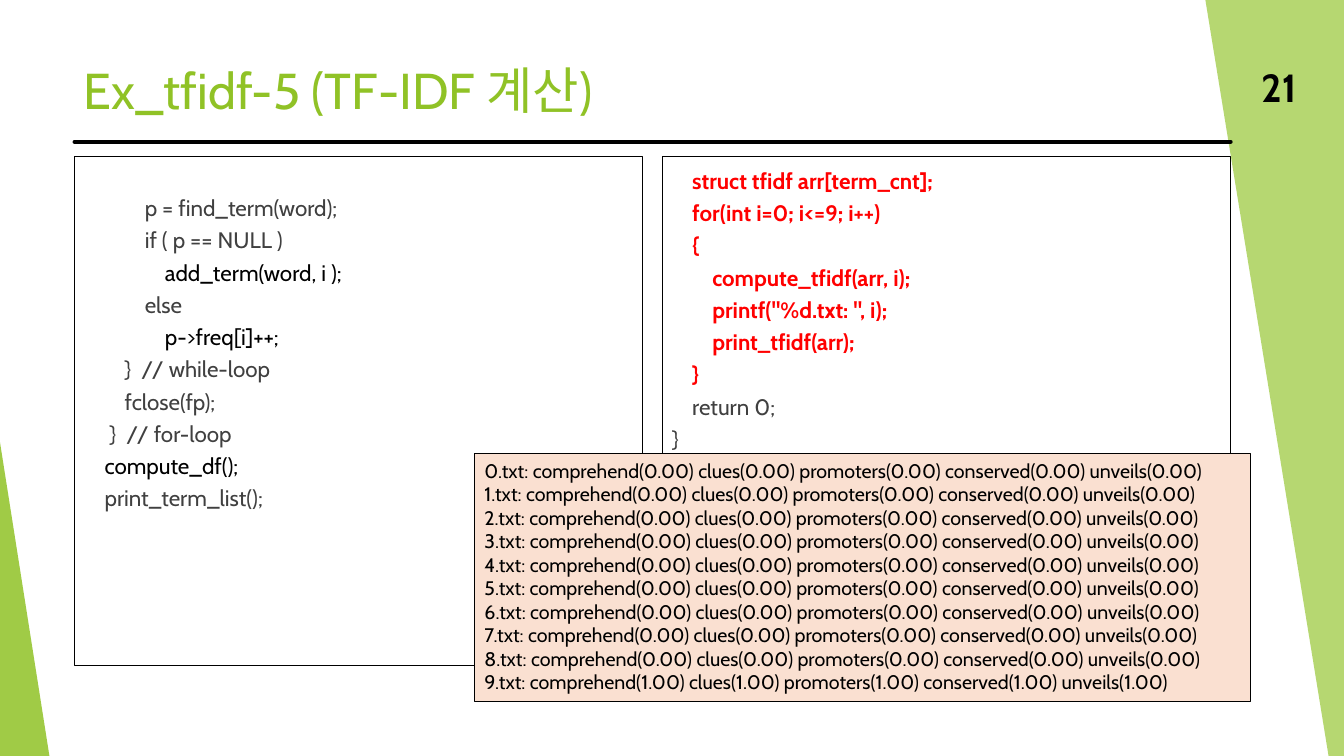
import dataclasses

import pptx
import pptx.dml.color
import pptx.enum.shapes
import pptx.enum.text
import pptx.oxml.ns
import pptx.util

Pt = pptx.util.Pt
Shapes = pptx.enum.shapes.MSO_SHAPE
Anchor = pptx.enum.text.MSO_ANCHOR
Align = pptx.enum.text.PP_ALIGN


@dataclasses.dataclass(frozen=True)
class Theme:
    font: str = "Cabin"
    green: str = "90C226"
    ink: str = "000000"
    muted: str = "404040"
    accent: str = "FF0000"
    peach: str = "FAE0D1"
    title_size: int = 36
    number_size: int = 28
    code_size: int = 16
    output_size: int = 14
    hairline: float = 0.75
    rule: float = 3


class SlideBuilder:
    def __init__(self, slide, theme):
        self.slide = slide
        self.theme = theme

    def rgb(self, value):
        return pptx.dml.color.RGBColor.from_string(value)

    def paint(self, shape, fill=None, outline=None, opacity=None):
        shape.shadow.inherit = False
        if fill:
            shape.fill.solid()
            shape.fill.fore_color.rgb = self.rgb(fill)
        else:
            shape.fill.background()
        if opacity:
            color = shape._element.spPr.find(".//" + pptx.oxml.ns.qn("a:srgbClr"))
            alpha = color.makeelement(pptx.oxml.ns.qn("a:alpha"), {"val": str(opacity * 1000)})
            color.append(alpha)
        if outline:
            shape.line.color.rgb = self.rgb(outline)
            shape.line.width = Pt(self.theme.hairline)
        else:
            shape.line.fill.background()

    def polygon(self, points, fill, opacity):
        corners = [(Pt(x), Pt(y)) for x, y in points]
        outline = self.slide.shapes.build_freeform(*corners[0])
        outline.add_line_segments(corners[1:], close=True)
        self.paint(outline.convert_to_shape(), fill, opacity=opacity)

    def triangle(self, box, fill, opacity):
        wedge = self.slide.shapes.add_shape(Shapes.ISOSCELES_TRIANGLE, *map(Pt, box))
        wedge.adjustments[0] = 0
        self.paint(wedge, fill, opacity=opacity)

    def rule(self, left, right, y):
        divider = self.slide.shapes.add_connector(
            pptx.enum.shapes.MSO_CONNECTOR.STRAIGHT, Pt(left), Pt(y), Pt(right), Pt(y))
        divider.line.color.rgb = self.rgb(self.theme.ink)
        divider.line.width = Pt(self.theme.rule)
        properties = divider._element.spPr
        properties.find(pptx.oxml.ns.qn("a:ln")).set("cap", "rnd")
        properties.append(properties.makeelement(pptx.oxml.ns.qn("a:effectLst"), {}))

    def set_text(self, shape, lines, size, bold=False, frame=None, paragraph=None):
        text_frame = shape.text_frame
        frame_format = {"word_wrap": True, "vertical_anchor": Anchor.TOP, **(frame or {})}
        for key, value in frame_format.items():
            setattr(text_frame, key, value)
        paragraph_format = {"alignment": Align.LEFT, **(paragraph or {})}
        for index, (text, color) in enumerate(lines):
            line = text_frame.paragraphs[0] if index == 0 else text_frame.add_paragraph()
            for key, value in paragraph_format.items():
                setattr(line, key, value)
            run = line.add_run()
            run.text = text
            emphasis = bold or color == self.theme.accent
            font_format = {"name": self.theme.font, "size": Pt(size), "bold": emphasis}
            for key, value in font_format.items():
                setattr(run.font, key, value)
            run.font.color.rgb = self.rgb(color)

    def label(self, box, text, color, size, bold=False, alignment=Align.LEFT):
        holder = self.slide.shapes.add_textbox(*map(Pt, box))
        self.set_text(holder, [(text, color)], size, bold,
                      {"vertical_anchor": Anchor.MIDDLE}, {"alignment": alignment})

    def panel(self, box, lines, size, fill=None, frame=None, paragraph=None):
        holder = self.slide.shapes.add_shape(Shapes.RECTANGLE, *map(Pt, box))
        self.paint(holder, fill, self.theme.ink)
        self.set_text(holder, lines, size, frame=frame, paragraph=paragraph)


def main():
    theme = Theme()
    deck = pptx.Presentation()
    deck.slide_width, deck.slide_height = Pt(960), Pt(540)
    builder = SlideBuilder(deck.slides.add_slide(deck.slide_layouts[6]), theme)

    builder.polygon([(861, 0), (960, 0), (960, 540), (949, 540)], theme.green, 65)
    builder.triangle((0, 316, 35.3, 224), theme.green, 85)
    builder.rule(53.3, 879, 101.3)
    builder.label((52.6, 35.3, 800.6, 57.6), "Ex_tfidf-5 (TF-IDF 계산)",
                  theme.green, theme.title_size)

    counting_code = [
        ("            p = find_term(word);", theme.muted),
        ("            if ( p == NULL )", theme.muted),
        ("                add_term(word, i );", theme.ink),
        ("            else", theme.muted),
        ("                p->freq[i]++;", theme.ink),
        ("        }  // while-loop", theme.muted),
        ("        fclose(fp);", theme.muted),
        ("     }  // for-loop", theme.muted),
        ("    compute_df();", theme.ink),
        ("    print_term_list();", theme.muted),
    ]
    scoring_code = [
        ("    struct tfidf arr[term_cnt];", theme.accent),
        ("    for(int i=0; i<=9; i++)", theme.accent),
        ("    {", theme.accent),
        ("        compute_tfidf(arr, i);", theme.accent),
        ("        printf(\"%d.txt: \", i);", theme.accent),
        ("        print_tfidf(arr);", theme.accent),
        ("    }", theme.accent),
        ("    return 0;", theme.muted),
        ("}", theme.muted),
    ]
    for left, code, top_inset in ((53.3, counting_code, 23), (473, scoring_code, 3.6)):
        builder.panel((left, 112, 406, 363.6), code, theme.code_size,
                      frame={"margin_top": Pt(top_inset)}, paragraph={"line_spacing": 1.2})

    terms = ("comprehend", "clues", "promoters", "conserved", "unveils")
    program_output = []
    for document in range(10):
        score = "1.00" if document == 9 else "0.00"
        scores = " ".join(f"{term}({score})" for term in terms)
        program_output.append((f"{document}.txt: {scores}", theme.ink))
    builder.panel((339, 324, 554.4, 177), program_output, theme.output_size, theme.peach,
                  {"auto_size": pptx.enum.text.MSO_AUTO_SIZE.SHAPE_TO_FIT_TEXT})

    builder.label((879, 47.5, 54, 28.8), "21", theme.ink, theme.number_size, True, Align.RIGHT)
    deck.save("out.pptx")


if __name__ == "__main__":
    main()
